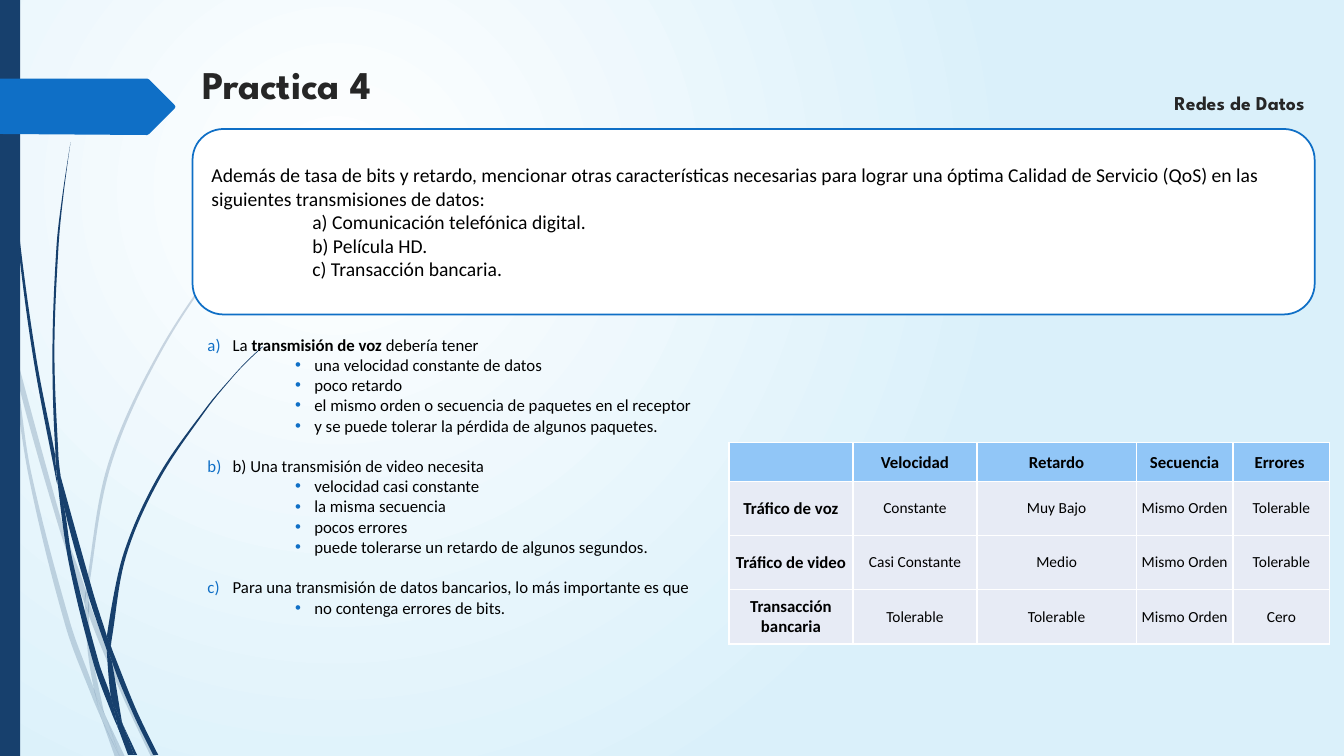
from dataclasses import dataclass
from math import dist
from typing import Optional

from lxml.etree import SubElement
from pptx import Presentation
from pptx.dml.color import RGBColor
from pptx.enum.shapes import MSO_SHAPE
from pptx.enum.text import MSO_ANCHOR, PP_ALIGN
from pptx.oxml import parse_xml
from pptx.oxml.ns import nsdecls, qn
from pptx.util import Inches, Pt

NAVY = RGBColor(0x17, 0x40, 0x6D)
BLUE = RGBColor(0x0F, 0x6F, 0xC6)
WHITE = RGBColor(0xFF, 0xFF, 0xFF)
BLACK = RGBColor(0, 0, 0)
CHARCOAL = RGBColor(0x26, 0x26, 0x26)
PALE_BLUE = RGBColor(0xDA, 0xF0, 0xFA)
HEADER_BLUE = RGBColor(0x91, 0xC6, 0xF7)
CELL_GRAY = RGBColor(0xE7, 0xEB, 0xF5)
HEADING_FONT = "League Spartan"
BODY_FONT = "Calibri"
CORNER_COSINE = 0.85

Point = tuple[float, float]


@dataclass(frozen=True)
class Plant:
    blades: tuple[tuple[Point, ...], ...]
    opacity: Optional[int] = None


@dataclass(frozen=True)
class Answer:
    runs: tuple[tuple[str, bool], ...]
    details: tuple[str, ...]


PALE_PLANT = Plant((
    ((0.11, 3.5), (0.09, 3.22), (0, 2.82), (0, 2.99), (0.1, 3.44)),
    ((0.58, 5.22), (0.84, 5.99), (0.85, 5.86), (0.62, 5.2), (0.14, 3.45), (0.17, 3.76)),
    ((0.92, 6.07), (0.88, 5.96), (0.88, 6.1), (1.23, 6.94), (1.5, 7.51), (1.55, 7.51),
     (1.27, 6.92)),
    ((1.19, 7.51), (1.24, 7.51), (1.05, 7.11)),
    ((0.93, 6.83), (0.7, 6.19), (0.31, 4.69), (0.17, 3.76), (0.11, 3.5), (0.28, 4.7),
     (0.65, 6.21), (0.92, 6.93), (1.01, 7.14), (0.99, 7.07)),
    ((0.84, 5.99), (0.87, 6.46), (0.93, 6.83), (0.96, 6.92), (1.05, 7.11), (1.03, 7.06),
     (0.91, 6.46), (0.88, 6.1), (0.88, 6.08)),
    ((0.88, 5.84), (1.1, 4.62), (1.6, 3.49), (2.29, 2.45), (2.68, 1.98), (2.9, 1.75),
     (3.12, 1.54), (3.12, 1.53), (2.89, 1.75), (2.68, 1.97), (2.28, 2.44), (1.58, 3.48),
     (1.07, 4.61), (0.85, 5.84), (0.85, 5.86), (0.88, 5.96)),
    ((1.01, 7.14), (1.14, 7.51), (1.19, 7.51)),
    ((0.88, 6.08), (0.88, 6.1), (0.88, 5.96), (0.85, 5.86), (0.84, 5.99)),
    ((0.96, 6.92), (0.93, 6.83), (0.99, 7.07), (1.01, 7.14), (1.19, 7.51), (1.05, 7.11)),
), 20)
DARK_PLANT = Plant((
    ((0.07, 1.1), (0.17, 2.33), (0.33, 3.55), (0.56, 4.77), (0.57, 4.81), (0.55, 4.57),
     (0.55, 4.53), (0.36, 3.55), (0.19, 2.32), (0.08, 1.09), (0.05, 0.48), (0.04, 0),
     (0.03, 0), (0.04, 0.48)),
    ((0.88, 5.92), (1.06, 6.45), (1.06, 6.33), (1.06, 6.31), (0.93, 5.9), (0.6, 4.72),
     (0.64, 5.05)),
    ((1.13, 6.49), (1.1, 6.41), (1.11, 6.56), (1.32, 7.08), (1.52, 7.49), (1.57, 7.49),
     (1.36, 7.06)),
    ((1.1, 6.91), (0.98, 6.57), (0.72, 5.56), (0.64, 5.05), (0.57, 4.77), (0.68, 5.57),
     (0.93, 6.59), (1.11, 7.08), (1.17, 7.22), (1.16, 7.17)),
    ((0.6, 4.72), (0.58, 4.53), (0.54, 3.49), (0.58, 2.45), (0.63, 1.93), (0.7, 1.41),
     (0.62, 1.93), (0.56, 2.45), (0.52, 3.49), (0.55, 4.49)),
    ((1.33, 7.49), (1.36, 7.49), (1.22, 7.19)),
    ((0.57, 4.77), (0.64, 5.05), (0.6, 4.72), (0.55, 4.49), (0.55, 4.53)),
    ((1.11, 6.33), (1.25, 5.52), (1.58, 4.76), (2.05, 4.06), (2.31, 3.74), (2.45, 3.59),
     (2.61, 3.44), (2.6, 3.44), (2.45, 3.58), (2.31, 3.73), (2.04, 4.05), (1.56, 4.74),
     (1.22, 5.51), (1.06, 6.31), (1.1, 6.41)),
    ((1.17, 7.22), (1.27, 7.49), (1.31, 7.49)),
    ((1.06, 6.45), (1.1, 6.91), (1.16, 7.06), (1.22, 7.19), (1.21, 7.16), (1.11, 6.56),
     (1.09, 6.51)),
    ((1.06, 6.45), (1.09, 6.51), (1.11, 6.56), (1.1, 6.41), (1.06, 6.31), (1.06, 6.33)),
    ((1.16, 7.06), (1.1, 6.91), (1.16, 7.17), (1.17, 7.22), (1.3, 7.49), (1.33, 7.49),
     (1.22, 7.19)),
))
ARROW = ((1.73, 1.08), (1.48, 1.33), (1.46, 1.34), (0, 1.33), (0, 0.78), (1.46, 0.78),
         (1.48, 0.79), (1.73, 1.04), (1.74, 1.06))

QUESTION = ("Además de tasa de bits y retardo, mencionar otras características necesarias para "
            "lograr una óptima Calidad de Servicio (QoS) en las siguientes transmisiones de datos:")
CASES = ("a) Comunicación telefónica digital.", "b) Película HD.", "c) Transacción bancaria.")
ANSWERS = (
    Answer((("La ", False), ("transmisión de voz", True), (" debería tener", False)),
           ("una velocidad constante de datos", "poco retardo",
            "el mismo orden o secuencia de paquetes en el receptor",
            "y se puede tolerar la pérdida de algunos paquetes.")),
    Answer((("b) Una transmisión de video necesita", False),),
           ("velocidad casi constante", "la misma secuencia", "pocos errores",
            "puede tolerarse un retardo de algunos segundos.")),
    Answer((("Para una transmisión de datos bancarios, lo más importante es que", False),),
           ("no contenga errores de bits.",)),
)
COLUMN_WIDTHS = (1.23, 1.23, 1.58, 0.96, 0.96)
ROW_HEIGHTS = (0.39, 0.53, 0.54, 0.54)
TRAFFIC = (
    ("", "Velocidad", "Retardo", "Secuencia", "Errores "),
    ("Tráfico de voz", "Constante", "Muy Bajo", "Mismo Orden", "Tolerable"),
    ("Tráfico de video", "Casi Constante", "Medio", "Mismo Orden", "Tolerable"),
    ("Transacción bancaria", "Tolerable", "Tolerable", "Mismo Orden", "Cero"),
)


def set_background(slide) -> None:
    slide.element.cSld.insert(0, parse_xml(
        f'<p:bg {nsdecls("p", "a")}><p:bgPr><a:gradFill><a:gsLst>'
        f'<a:gs pos="0"><a:srgbClr val="{WHITE}"/></a:gs>'
        f'<a:gs pos="90000"><a:srgbClr val="{PALE_BLUE}"/></a:gs></a:gsLst>'
        '<a:path path="circle"><a:fillToRect l="50000" t="50000" r="100000" b="100000"/></a:path>'
        '</a:gradFill><a:effectLst/></p:bgPr></p:bg>'))


def paint(shape, color: RGBColor) -> None:
    shape.shadow.inherit = False
    shape.fill.solid()
    shape.fill.fore_color.rgb = color
    shape.line.fill.background()


def add_box(slide, kind: MSO_SHAPE, left: float, top: float, width: float, height: float,
            color: RGBColor):
    shape = slide.shapes.add_shape(kind, Inches(left), Inches(top), Inches(width), Inches(height))
    paint(shape, color)
    return shape


def add_outline(slide, points: tuple[Point, ...], color: RGBColor):
    start, *others = [(Inches(x), Inches(y)) for x, y in points]
    builder = slide.shapes.build_freeform(*start)
    builder.add_line_segments([*others, start], close=True)
    shape = builder.convert_to_shape()
    paint(shape, color)
    return shape


def tangent(before: Point, point: Point, after: Point) -> Point:
    arriving, leaving, span = dist(before, point), dist(point, after), dist(before, after)
    (ax, ay), (bx, by), (cx, cy) = before, point, after
    dot = (bx - ax) * (cx - bx) + (by - ay) * (cy - by)
    if dot < CORNER_COSINE * arriving * leaving:
        return 0, 0
    return (cx - ax) / span, (cy - ay) / span


def bend(shape, points: tuple[Point, ...]) -> None:
    left, top = min(x for x, y in points), min(y for x, y in points)
    following = points[1:] + points[:1]
    tangents = [tangent(*corner) for corner in zip(points[-1:] + points[:-1], points, following)]
    sides = zip(points, following, tangents, tangents[1:] + tangents[:1])
    for line, (start, end, leaving, arriving) in zip(list(shape.element.iter(qn("a:lnTo"))), sides):
        reach = dist(start, end) / 3
        line.tag = qn("a:cubicBezTo")
        handles = ((start, leaving, reach), (end, arriving, -reach))
        for index, ((x, y), (dx, dy), length) in enumerate(handles):
            handle = SubElement(line, qn("a:pt"), x=str(Inches(x + dx * length - left)),
                                y=str(Inches(y + dy * length - top)))
            line.insert(index, handle)


def add_plant(slide, plant: Plant) -> None:
    for blade in plant.blades:
        shape = add_outline(slide, blade, NAVY)
        bend(shape, blade)
        if plant.opacity is not None:
            color = shape.element.spPr.find(qn("a:solidFill")).find(qn("a:srgbClr"))
            SubElement(color, qn("a:alpha"), val=str(plant.opacity * 1000))


def style(paragraph, size: float, font: str = BODY_FONT, color: RGBColor = BLACK,
          bold: bool = False) -> None:
    paragraph.font.size = Pt(size)
    paragraph.font.name = font
    paragraph.font.color.rgb = color
    paragraph.font.bold = bold


def add_text_box(slide, left: float, top: float, width: float, height: float):
    box = slide.shapes.add_textbox(Inches(left), Inches(top), Inches(width), Inches(height))
    box.text_frame.word_wrap = True
    return box.text_frame


def add_heading(slide, text: str, size: float, left: float, top: float, width: float,
                height: float, anchor: MSO_ANCHOR) -> None:
    frame = add_text_box(slide, left, top, width, height)
    frame.vertical_anchor = anchor
    frame.text = text
    style(frame.paragraphs[0], size, HEADING_FONT, CHARCOAL, True)


def indent(paragraph, margin: float, first_line: float = 0):
    properties = paragraph._p.get_or_add_pPr()
    properties.set("marL", str(Inches(margin)))
    properties.set("indent", str(Inches(first_line)))
    return properties


def add_bullet(paragraph, margin: float, hanging: float, tag: str, **attributes: str) -> None:
    properties = indent(paragraph, margin, -hanging)
    SubElement(SubElement(properties, qn("a:buClr")), qn("a:srgbClr"), val=str(BLUE))
    SubElement(properties, qn("a:buFont"), typeface="Arial" if tag == "a:buChar" else BODY_FONT)
    SubElement(properties, qn(tag), **attributes)


def add_question(slide) -> None:
    shape = add_box(slide, MSO_SHAPE.ROUNDED_RECTANGLE, 1.91, 1.28, 11.13, 1.84, WHITE)
    shape.line.color.rgb = BLUE
    shape.line.width = Pt(1.25)
    frame = shape.text_frame
    frame.vertical_anchor = MSO_ANCHOR.MIDDLE
    frame.text = "\n".join((QUESTION, *CASES))
    for index, paragraph in enumerate(frame.paragraphs):
        indent(paragraph, 1 if index else 0)
        paragraph.alignment = PP_ALIGN.LEFT
        style(paragraph, 14)


def add_answers(slide) -> None:
    frame = add_text_box(slide, 1.96, 3.32, 11.04, 3.84)
    frame.margin_top = frame.margin_bottom = 0
    for index, answer in enumerate(ANSWERS):
        paragraph = frame.add_paragraph() if index else frame.paragraphs[0]
        add_bullet(paragraph, 0.25, 0.25, "a:buAutoNum", type="alphaLcParenR")
        if index:
            paragraph.space_before = Pt(14.6)
        style(paragraph, 12)
        for text, bold in answer.runs:
            run = paragraph.add_run()
            run.text = text
            run.font.bold = bold
        for detail in answer.details:
            paragraph = frame.add_paragraph()
            paragraph.text = detail
            paragraph.level = 1
            add_bullet(paragraph, 1.06, 0.19, "a:buChar", char="•")
            style(paragraph, 12)


def format_cell(cell, text: str, is_header: bool, is_label: bool) -> None:
    cell.text = text
    cell.vertical_anchor = MSO_ANCHOR.MIDDLE
    margin = Inches(0.01 if is_header else 0.03)
    cell.margin_left = cell.margin_right = cell.margin_top = margin
    cell.margin_bottom = 0 if is_header else margin
    paragraph = cell.text_frame.paragraphs[0]
    paragraph.alignment = PP_ALIGN.CENTER
    bold = is_header or is_label
    style(paragraph, 12 if bold else 11, bold=bold)
    properties = cell._tc.get_or_add_tcPr()
    for side in ("lnL", "lnR", "lnT", "lnB"):
        border = SubElement(properties, qn(f"a:{side}"), w=str(Pt(1)))
        SubElement(SubElement(border, qn("a:solidFill")), qn("a:srgbClr"), val=str(WHITE))
    cell.fill.solid()
    cell.fill.fore_color.rgb = HEADER_BLUE if is_header else CELL_GRAY


def add_traffic_table(slide) -> None:
    table = slide.shapes.add_table(
        len(ROW_HEIGHTS), len(COLUMN_WIDTHS), Inches(7.23), Inches(4.39),
        Inches(sum(COLUMN_WIDTHS)), Inches(sum(ROW_HEIGHTS))).table
    for column, width in zip(table.columns, COLUMN_WIDTHS):
        column.width = Inches(width)
    for row_index, (row, height, texts) in enumerate(zip(table.rows, ROW_HEIGHTS, TRAFFIC)):
        row.height = Inches(height)
        for column_index, text in enumerate(texts):
            format_cell(row.cells[column_index], text, row_index == 0, column_index == 0)


def main() -> None:
    presentation = Presentation()
    presentation.slide_width = Inches(13.33)
    presentation.slide_height = Inches(7.5)
    slide = presentation.slides.add_slide(presentation.slide_layouts[6])
    set_background(slide)
    for plant in (PALE_PLANT, DARK_PLANT):
        add_plant(slide, plant)
    add_box(slide, MSO_SHAPE.RECTANGLE, 0, 0, 0.2, 7.5, NAVY)
    add_outline(slide, ARROW, BLUE)
    add_heading(slide, "Practica 4", 28, 1.91, 0.55, 8.11, 0.53, MSO_ANCHOR.TOP)
    add_answers(slide)
    add_heading(slide, "Redes de Datos", 14, 11.55, 0.82, 1.64, 0.36, MSO_ANCHOR.BOTTOM)
    add_question(slide)
    add_traffic_table(slide)
    presentation.save("out.pptx")


if __name__ == "__main__":
    main()
